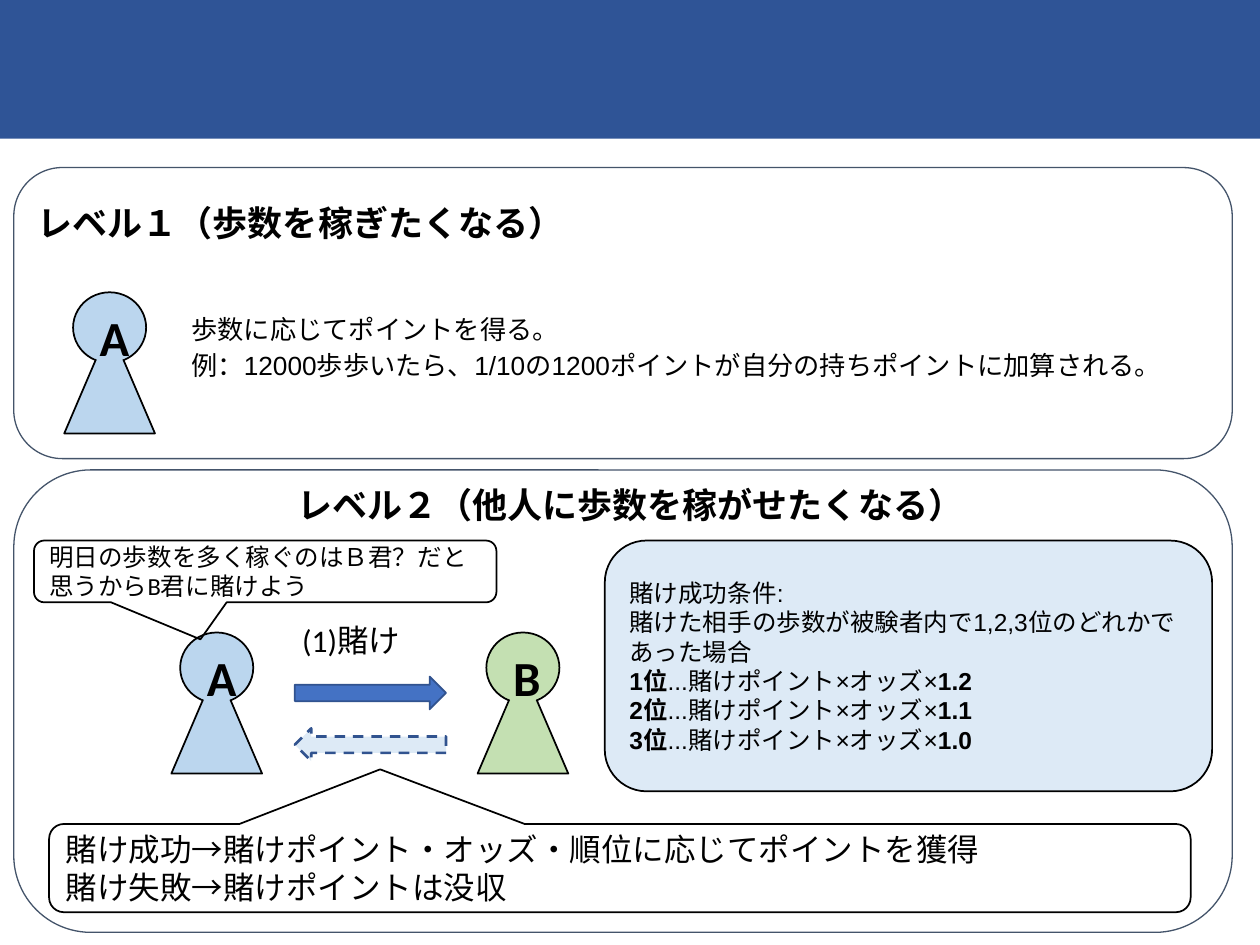
from pptx import Presentation
from pptx.dml.color import RGBColor
from pptx.enum.dml import MSO_LINE
from pptx.enum.shapes import MSO_SHAPE as SHAPE
from pptx.enum.text import MSO_ANCHOR as ANCHOR, MSO_AUTO_SIZE as AUTO, PP_ALIGN as ALIGN
from pptx.util import Inches, Pt

COLS, ROWS = 100, 75            # slide grid
CELL = Inches(10) // COLS       # square cells
BLACK, BLUE, GREEN, PALE = "000000", "BBD6EE", "C4E0B2", "DDEAF6"


def color(value):
    return RGBColor.from_string(value)


def cells(*values):
    return [round(v * CELL) for v in values]


def add_shape(shapes, kind, box, fill=None, line=None, width=1, adj=()):
    sp = shapes.add_shape(kind, *cells(*box))
    sp.shadow.inherit = False
    if fill:
        sp.fill.solid()
        sp.fill.fore_color.rgb = color(fill)
    else:
        sp.fill.background()
    if line:
        sp.line.color.rgb = color(line)
        sp.line.width = Pt(width)
    else:
        sp.line.fill.background()
    for i, value in enumerate(adj):
        sp.adjustments[i] = value
    return sp


def set_text(sp, paragraphs, size, font="Calibri", bold=False, align=ALIGN.LEFT,
             anchor=ANCHOR.MIDDLE, inset=(1, 0.5)):
    """Each paragraph is a string or a list of (text, bold) runs."""
    tf = sp.text_frame
    tf.word_wrap = True
    tf.vertical_anchor = anchor
    tf.margin_left = tf.margin_right = cells(inset[0])[0]
    tf.margin_top = tf.margin_bottom = cells(inset[1])[0]
    for i, runs in enumerate(paragraphs):
        p = tf.add_paragraph() if i else tf.paragraphs[0]
        p.alignment = align
        for text, strong in [(runs, bold)] if isinstance(runs, str) else runs:
            r = p.add_run()
            r.text = text
            r.font.name, r.font.size, r.font.bold = font, Pt(size), strong
            r.font.color.rgb = color(BLACK)
    return tf


def add_label(shapes, box, paragraphs, size, bold=False):
    sp = shapes.add_textbox(*cells(*box))
    tf = set_text(sp, paragraphs, size, bold=bold, anchor=ANCHOR.TOP)
    tf.auto_size = AUTO.SHAPE_TO_FIT_TEXT
    return tf


def add_person(shapes, x, y, name, fill):
    add_shape(shapes, SHAPE.OVAL, (x + 0.7, y, 5.8, 5.6), fill, BLACK)
    add_shape(shapes, SHAPE.ISOSCELES_TRIANGLE, (x, y + 2.8, 7.2, 8.4), fill, BLACK)
    # Borderless disc hides the tip of the body and carries the name
    face = add_shape(shapes, SHAPE.OVAL, (x + 1.5, y + 1.5, 4.2, 4.1), fill)
    set_text(face, [name], 28, bold=True, align=ALIGN.CENTER, inset=(0.7, 0.4))


def add_callout(shapes, box, paragraphs, size, tip):
    sp = add_shape(shapes, SHAPE.ROUNDED_RECTANGULAR_CALLOUT, box, line=BLACK,
                   adj=(*tip, 0.167))
    set_text(sp, paragraphs, size)


def add_panel(shapes, box):
    add_shape(shapes, SHAPE.ROUNDED_RECTANGLE, box, line="44546A", width=0.75)


def level_one(slide, box):
    x, y, w, h = box
    add_panel(slide.shapes, box)
    tf = add_label(slide.shapes, (x + 13.1, y + 10.7, w - 13.9, 6.4),
                   ["歩数に応じてポイントを得る。",
                    "例：12000歩歩いたら、1/10の1200ポイントが自分の持ちポイントに加算される。"], 15)
    for p in tf.paragraphs:
        p.line_spacing = 1.15
    tf.paragraphs[1].runs[0].font.name = "Arial"
    person = slide.shapes.add_group_shape().shapes
    add_person(person, x + 4, y + 9.9, "A", BLUE)
    add_label(slide.shapes, (x + 0.9, y + 2.2, 59.5, 4.4),
              ["レベル１（歩数を稼ぎたくなる）"], 20, bold=True)


def level_two(slide, box):
    x, y, w, h = box
    add_panel(slide.shapes, box)
    shapes = slide.shapes.add_group_shape().shapes

    # Bet going out and payout coming back
    arrow = x + 22.3, 12, 2.6
    left, width, height = arrow
    add_shape(shapes, SHAPE.RIGHT_ARROW, (left, y + 16.4, width, height),
              "4472C4", "31538F")
    back = add_shape(shapes, SHAPE.RIGHT_ARROW, (left, y + 20.5, width, height),
                     PALE, "31538F", 1.5)
    back.rotation = 180
    back.line.dash_style = MSO_LINE.DASH
    add_label(shapes, (x + 21.9, y + 11.5, 12.4, 4), ["(1)賭け"], 18)

    # Players
    for dx, name, fill in ((36.8, "B", GREEN), (12.5, "A", BLUE)):
        add_person(shapes, x + dx, y + 12.9, name, fill)

    # Heading and callouts
    add_label(shapes, (x + 21.5, y + 0.6, 61.5, 4.4),
              ["レベル２（他人に歩数を稼がせたくなる）"], 20, bold=True)
    add_callout(shapes, (x + 1.6, y + 5.6, 36.7, 4.9),
                ["明日の歩数を多く稼ぐのはＢ君？だと思うからB君に賭けよう"], 14,
                (-0.14, 1.1))
    add_callout(shapes, (x + 2.8, y + 28.1, w - 6.1, 7),
                ["賭け成功→賭けポイント・オッズ・順位に応じてポイントを獲得",
                 "賭け失敗→賭けポイントは没収"], 18, (-0.21, -1.12))

    # Winning conditions
    rules = add_shape(shapes, SHAPE.ROUNDED_RECTANGLE,
                      (x + 46.9, y + 5.6, 48.2, 19.9), PALE, BLACK)
    odds = [[(f"{rank}位", True), ("...賭けポイント×オッズ×", False), (rate, True)]
            for rank, rate in enumerate(("1.2", "1.1", "1.0"), 1)]
    set_text(rules, ["賭け成功条件:",
                     "賭けた相手の歩数が被験者内で1,2,3位のどれかであった場合", *odds],
             14, font="Arial", inset=(1, 1))


def main():
    prs = Presentation()
    prs.slide_width, prs.slide_height = COLS * CELL, ROWS * CELL
    slide = prs.slides.add_slide(prs.slide_layouts[6])
    # Header band, bleeding over the slide edges
    add_shape(slide.shapes, SHAPE.RECTANGLE, (-4.5, -1.1, 110.2, 12.1), "2F5496")
    level_one(slide, (1.1, 13.3, 96.7, 23.1))
    level_two(slide, (1.1, 37.3, 96.7, 36.7))
    prs.save("out.pptx")


if __name__ == "__main__":
    main()
